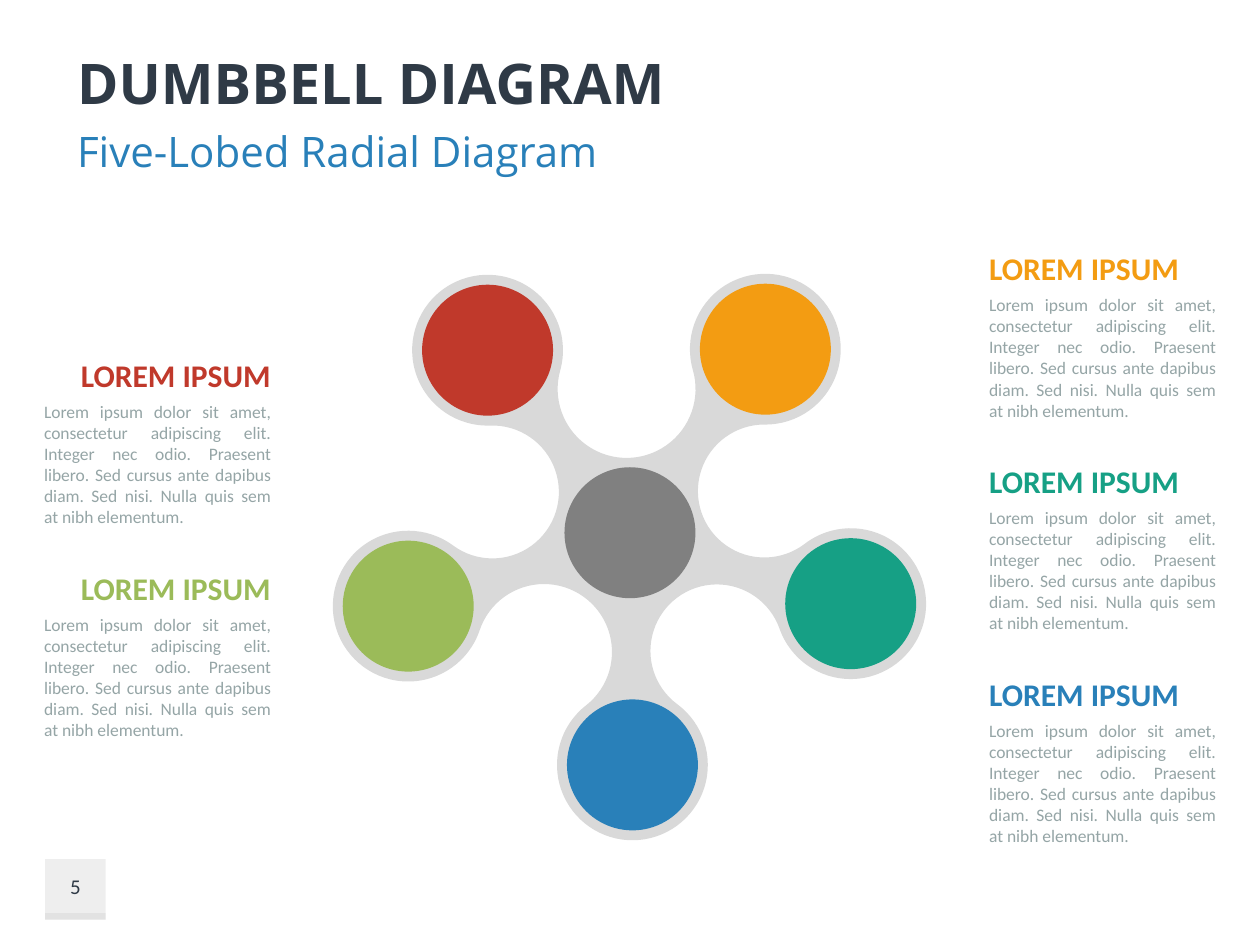
import math
import pptx
import pptx.util
import pptx.dml.color
import pptx.enum.shapes
import pptx.enum.text
import pptx.oxml.ns
from lxml import etree

Cm = pptx.util.Cm
SHAPE = pptx.enum.shapes.MSO_SHAPE
ALIGN = pptx.enum.text.PP_ALIGN
ANCHOR = pptx.enum.text.MSO_ANCHOR
FIT = pptx.enum.text.MSO_AUTO_SIZE
qn = pptx.oxml.ns.qn

COLORS = {
    "navy": "2F3A46", "blue": "2980B9", "olive": "9BBB59", "red": "C0392B",
    "orange": "F39C12", "teal": "16A085", "hub": "808080", "web": "D9D9D9",
    "text": "95A5A6", "badge": "BFBFBF", "white": "FFFFFF",
}

TITLE = "DUMBBELL DIAGRAM"
SUBTITLE = "Five-Lobed Radial Diagram"
PAGE = "5"
HEADING = "LOREM IPSUM"
DETAIL = ("Lorem ipsum dolor sit amet, consectetur adipiscing elit. Integer nec odio. "
          "Praesent libero. Sed cursus ante dapibus diam. Sed nisi. "
          "Nulla quis sem at nibh elementum.")

HUB = (12.7, 10.74)
LOBES = [
    ("blue", (12.75, 15.42)),
    ("olive", (8.23, 12.22)),
    ("red", (9.83, 7.06)),
    ("orange", (15.43, 7.04)),
    ("teal", (17.15, 12.17)),
]
FILLET_RADII = [1.37, 1.34, 1.39, 1.34, 1.34]
DISC, LOBE_RADIUS = 2.64, 1.52

PANELS = [
    ("badge", 25, (0.91, 17.32, 1.22, 1.22)),
    ("badge", 25, (0.91, 18.41, 1.22, 0.13)),
    ("white", 60, (21.06, 0.66, 3.99, 2.01)),
]
COLUMNS = [
    (0.89, 7.04, ALIGN.RIGHT, ["red", "olive"]),
    (19.94, 4.89, ALIGN.LEFT, ["orange", "teal", "blue"]),
]
LABEL_WIDTH, HEADING_WIDTH, LABEL_PITCH = 4.57, 3.86, 4.29


def rgb(name):
    return pptx.dml.color.RGBColor.from_string(COLORS[name])


def box(left, top, width, height):
    return Cm(left), Cm(top), Cm(width), Cm(height)


def paint(shape, color, alpha=None):
    shape.shadow.inherit = False
    shape.fill.solid()
    shape.fill.fore_color.rgb = rgb(color)
    shape.line.fill.background()
    if alpha:
        tone = shape._element.spPr.find(".//" + qn("a:srgbClr"))
        etree.SubElement(tone, qn("a:alpha"), val=str(alpha * 1000))


def write(shape, words, font, size, color, align, bold=False, **frame_format):
    frame = shape.text_frame
    frame.text = words
    for key, value in {"word_wrap": True, "auto_size": FIT.NONE, **frame_format}.items():
        setattr(frame, key, value)
    paragraph = frame.paragraphs[0]
    paragraph.alignment = align
    paragraph.space_before = pptx.util.Pt(0)
    run_format = {"name": font, "size": pptx.util.Pt(size), "bold": bold}
    for key, value in run_format.items():
        setattr(paragraph.runs[0].font, key, value)
    paragraph.runs[0].font.color.rgb = rgb(color)


def fillet_center(first, second, radius):
    middle = [(a + b) / 2 for a, b in zip(first, second)]
    half = math.dist(first, second) / 2
    rise = math.sqrt((LOBE_RADIUS + radius) ** 2 - half ** 2)
    normal = ((first[1] - second[1]) / (2 * half), (second[0] - first[0]) / (2 * half))
    toward = sum(n * (h - m) for n, h, m in zip(normal, HUB, middle))
    return tuple(m + math.copysign(rise, toward) * n for m, n in zip(middle, normal))


def arc(center, radius, source, target, turn, steps):
    start, end = (math.atan2(p[1] - center[1], p[0] - center[0]) for p in (source, target))
    step = turn * ((turn * (end - start)) % math.tau) / steps
    pull = 4 / 3 * math.tan(step / 4)

    def point(angle, tangent):
        return (center[0] + radius * (math.cos(angle) - tangent * math.sin(angle)),
                center[1] + radius * (math.sin(angle) + tangent * math.cos(angle)))

    angles = [start + step * i for i in range(steps + 1)]
    return [(point(a, 0), point(a, pull), point(b, -pull), point(b, 0))
            for a, b in zip(angles, angles[1:])]


def web_curves(centers):
    following = centers[1:] + centers[:1]
    fillets = [fillet_center(*trio) for trio in zip(centers, following, FILLET_RADII)]
    curves = []
    for i, center in enumerate(centers):
        curves += arc(center, LOBE_RADIUS, fillets[i - 1], fillets[i], 1, 4)
        curves += arc(fillets[i], FILLET_RADII[i], center, following[i], -1, 3)
    return curves


def add_web(shapes):
    centers = [center for _, center in LOBES]
    left, top = (min(axis) - LOBE_RADIUS for axis in zip(*centers))
    right, bottom = (max(axis) + LOBE_RADIUS for axis in zip(*centers))
    builder = shapes.build_freeform(Cm(left), Cm(top))
    corners = [(right, top), (right, bottom), (left, bottom)]
    builder.add_line_segments([(Cm(x), Cm(y)) for x, y in corners], close=True)
    web = builder.convert_to_shape()
    outline = web._element.find(".//" + qn("a:path"))
    for command in list(outline):
        outline.remove(command)

    def draw(tag, points):
        command = etree.SubElement(outline, qn(tag))
        for x, y in points:
            etree.SubElement(command, qn("a:pt"), x=str(Cm(x - left)), y=str(Cm(y - top)))

    curves = web_curves(centers)
    draw("a:moveTo", curves[0][:1])
    for curve in curves:
        draw("a:cubicBezTo", curve[1:])
    draw("a:close", [])
    paint(web, "web")


def add_diagram(shapes):
    add_web(shapes)
    for color, (x, y) in [("hub", HUB)] + LOBES:
        disc = shapes.add_shape(SHAPE.OVAL, *box(x - DISC / 2, y - DISC / 2, DISC, DISC))
        paint(disc, color)


def add_labels(shapes):
    edges = {"margin_left": 0, "margin_right": 0}
    for left, top, align, colors in COLUMNS:
        indent = LABEL_WIDTH - HEADING_WIDTH if align == ALIGN.RIGHT else 0
        for row, color in enumerate(colors):
            y = top + row * LABEL_PITCH
            detail = shapes.add_textbox(*box(left, y + 0.92, LABEL_WIDTH, 2.82))
            write(detail, DETAIL, "Calibri", 10, "text", ALIGN.JUSTIFY, **edges)
            heading = shapes.add_textbox(*box(left + indent, y, HEADING_WIDTH, 1.02))
            write(heading, HEADING, "Calibri", 18, color, align, True,
                  word_wrap=False, vertical_anchor=ANCHOR.BOTTOM, **edges)


def add_panels(shapes):
    for color, alpha, place in PANELS:
        paint(shapes.add_shape(SHAPE.RECTANGLE, *box(*place)), color, alpha)
    number = shapes.add_textbox(*box(0.91, 17.32, 1.22, 1.09))
    write(number, PAGE, "Calibri", 12, "navy", ALIGN.CENTER, vertical_anchor=ANCHOR.MIDDLE)


def main():
    deck = pptx.Presentation()
    deck.slide_width, deck.slide_height = Cm(25.4), Cm(19.05)
    slide = deck.slides.add_slide(deck.slide_layouts[0])
    title, subtitle = slide.placeholders
    for part, words, top, height, size, color, bold in [
        (title, TITLE, 0.84, 1.63, 32, "navy", True),
        (subtitle, SUBTITLE, 2.4, 1.27, 24, "blue", False),
    ]:
        part.left, part.top, part.width, part.height = box(1.3, top, 19.99, height)
        write(part, words, "Open Sans", size, color, ALIGN.LEFT, bold,
              vertical_anchor=ANCHOR.MIDDLE)
    add_panels(slide.shapes)
    add_diagram(slide.shapes)
    add_labels(slide.shapes)
    deck.save("out.pptx")


if __name__ == "__main__":
    main()
